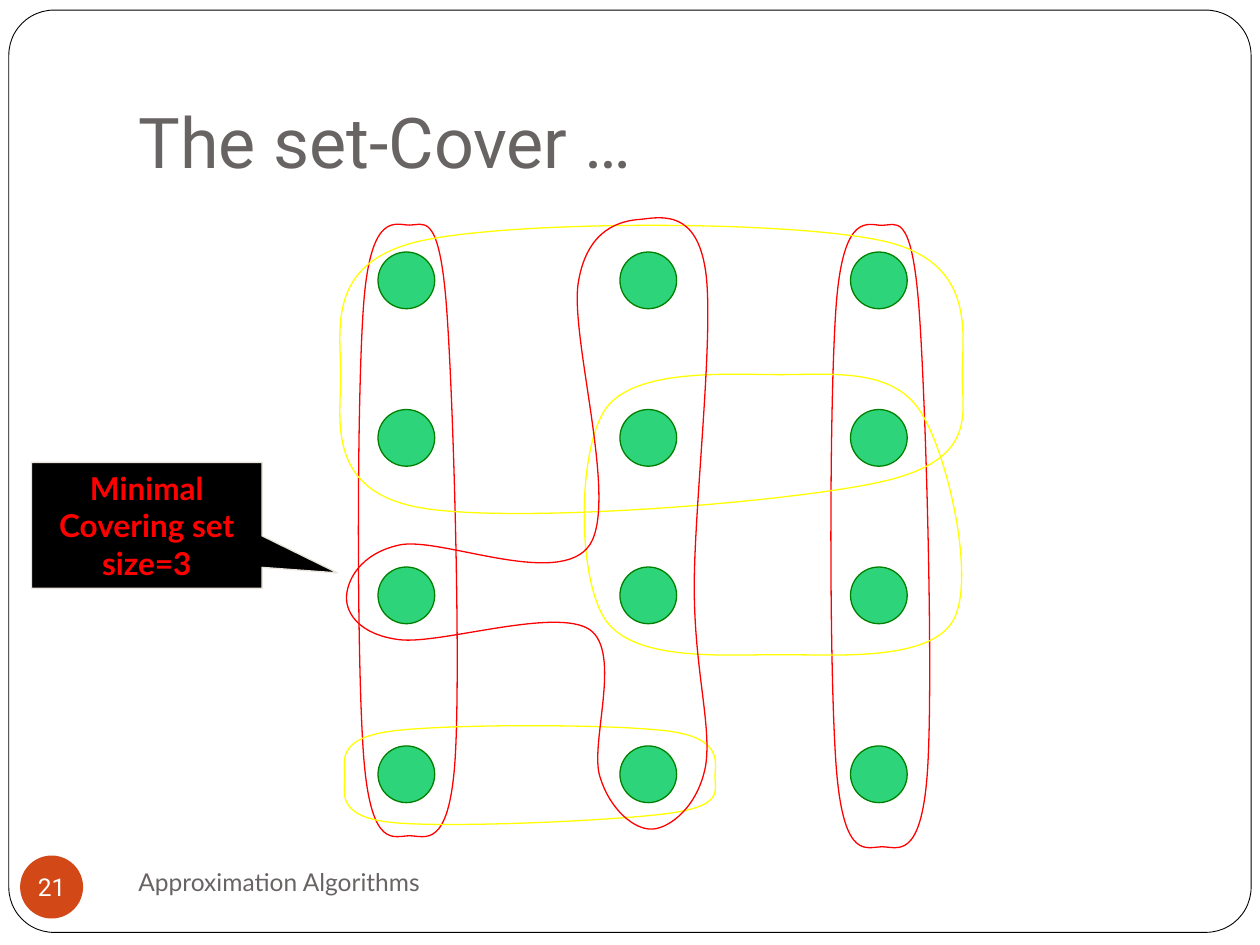
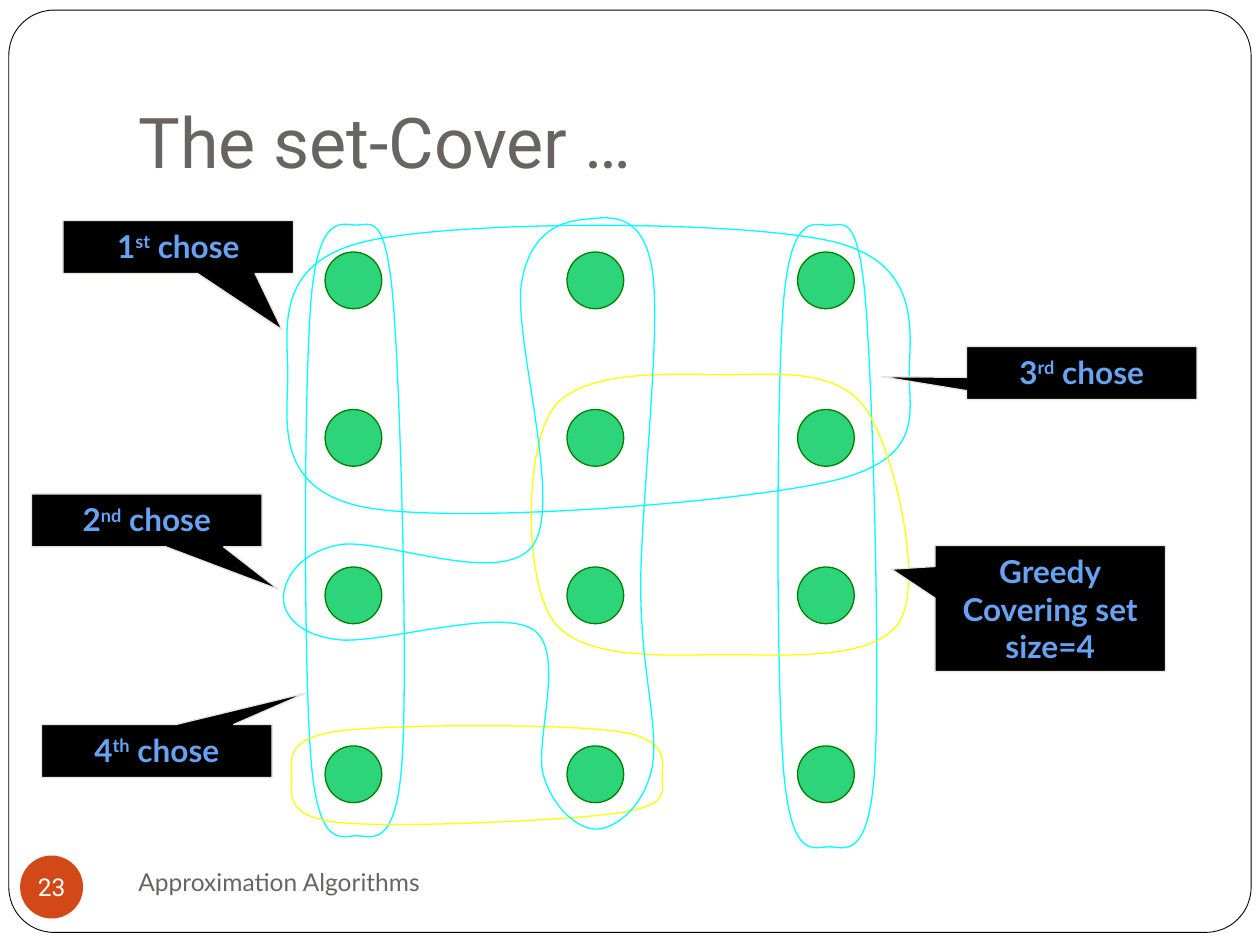
from pptx import Presentation
from pptx.dml.color import RGBColor
from pptx.enum.shapes import MSO_SHAPE
from pptx.enum.text import MSO_ANCHOR, MSO_AUTO_SIZE, PP_ALIGN
from pptx.oxml.ns import qn
from pptx.oxml.xmlchemy import OxmlElement
from pptx.util import Pt

PX = 9144  # EMU in one px, 100 px to the inch
WIDTH, HEIGHT = 1000, 750
TITLE_ONLY = 5

WHITE = RGBColor(0xFF, 0xFF, 0xFF)
BLACK = RGBColor(0x00, 0x00, 0x00)
GREY = RGBColor(0x69, 0x64, 0x64)
ORANGE = RGBColor(0xD3, 0x48, 0x17)
GREEN = RGBColor(0x2E, 0xD4, 0x79)
DARK_GREEN = RGBColor(0x00, 0x80, 0x00)
RED = RGBColor(0xFF, 0x00, 0x00)
YELLOW = RGBColor(0xFF, 0xFF, 0x00)
CYAN = RGBColor(0x00, 0xFF, 0xFF)
BLUE = RGBColor(0x67, 0xA3, 0xF3)
CREAM = RGBColor(0xE9, 0xE5, 0xDC)

HEADING_FONT, BODY_FONT = "Roboto", "Lato"
LEFT, CENTER = PP_ALIGN.LEFT, PP_ALIGN.CENTER
TOP, MIDDLE, BOTTOM = MSO_ANCHOR.TOP, MSO_ANCHOR.MIDDLE, MSO_ANCHOR.BOTTOM
NO_AUTO_SIZE = MSO_AUTO_SIZE.NONE
ROUNDED, OVAL = MSO_SHAPE.ROUNDED_RECTANGLE, MSO_SHAPE.OVAL
NODE, CALLOUT = MSO_SHAPE.FLOWCHART_CONNECTOR, MSO_SHAPE.RECTANGULAR_CALLOUT

# Closed curves: a start point, then three points for each Bezier piece
LOOP = [
    (72, 139),
    (0, 280), (0, 720), (72, 860),
    (145, 1000), (362, 977), (508, 977),
    (653, 977), (883, 1000), (942, 860),
    (1000, 720), (927, 280), (855, 139),
    (782, 0), (637, 23), (508, 23),
    (379, 23), (145, 0), (72, 139),
]
WAVE = [
    (184, 57),
    (177, 100), (216, 230), (193, 265),
    (169, 300), (74, 258), (42, 265),
    (10, 272), (0, 294), (0, 307),
    (0, 319), (10, 336), (42, 340),
    (74, 344), (166, 314), (193, 332),
    (219, 350), (193, 422), (201, 448),
    (209, 475), (229, 491), (243, 490),
    (257, 489), (279, 472), (285, 440),
    (290, 408), (276, 364), (276, 298),
    (276, 233), (292, 97), (285, 48),
    (278, 0), (251, 5), (234, 7),
    (218, 8), (191, 14), (184, 57),
]

NODE_COLUMNS = (300, 492, 675)
NODE_ROWS = (200, 325, 450, 592)
NODE_SIZE = 45


class Deck:
    """Holds the shared style and the slide being built."""

    def __init__(self):
        self.presentation = Presentation()
        self.presentation.slide_width = WIDTH * PX
        self.presentation.slide_height = HEIGHT * PX
        self.slide = None

    def new_slide(self, title, footer, number):
        layout = self.presentation.slide_layouts[TITLE_ONLY]
        self.slide = self.presentation.slides.add_slide(layout)
        heading = self.slide.shapes.title
        frame = self.shape(ROUNDED, (7, 8, 986, 732), WHITE, BLACK, 0.5)
        frame.adjustments[0] = 0.049
        heading.element.addprevious(frame.element)

        heading.left, heading.top = 100 * PX, 30 * PX
        heading.width, heading.height = 850 * PX, 125 * PX
        self.set_text(heading, [title], 40, GREY, HEADING_FONT, LEFT, BOTTOM,
                      (10, 5, 10, 10))

        box = self.slide.shapes.add_textbox(
            100 * PX, 675 * PX, 433 * PX, 50 * PX)
        self.set_text(box, [footer], 14, GREY, BODY_FONT, LEFT, MIDDLE)

        badge = self.shape(OVAL, (16, 679, 50, 50), ORANGE)
        self.set_text(badge, [str(number)], 14, WHITE, HEADING_FONT, CENTER,
                      MIDDLE, (0, 0, 0, 0))
        badge.text_frame.word_wrap = False

    def shape(self, kind, box, fill, line=None, line_width=0.75):
        shape = self.slide.shapes.add_shape(kind, *(side * PX for side in box))
        shape.fill.solid()
        shape.fill.fore_color.rgb = fill
        self.stroke(shape, line, line_width)
        return shape

    def stroke(self, shape, color, width=0.75):
        shape.shadow.inherit = False
        if color is None:
            shape.line.fill.background()
        else:
            shape.line.color.rgb = color
            shape.line.width = Pt(width)

    def set_text(self, shape, lines, size, color, font, align, anchor,
                 insets=(10, 5, 10, 5), bold=False):
        """Fill a shape with paragraphs; text between ^ marks is superscript."""
        text_frame = shape.text_frame
        text_frame.word_wrap = True
        text_frame.auto_size = NO_AUTO_SIZE
        text_frame.vertical_anchor = anchor
        (text_frame.margin_left, text_frame.margin_top,
         text_frame.margin_right, text_frame.margin_bottom) = (
            inset * PX for inset in insets)
        for index, line in enumerate(lines):
            paragraph = (text_frame.add_paragraph() if index
                         else text_frame.paragraphs[0])
            paragraph.alignment = align
            paragraph.font.name = font
            paragraph.font.size = Pt(size)
            paragraph.font.bold = bold
            paragraph.font.color.rgb = color
            for part, text in enumerate(line.split("^")):
                run = paragraph.add_run()
                run.text = text
                if part % 2:
                    run._r.get_or_add_rPr().set("baseline", "30000")

    def nodes(self, shift):
        for left in NODE_COLUMNS:
            for top in NODE_ROWS:
                self.shape(NODE, (left + shift, top, NODE_SIZE, NODE_SIZE),
                           GREEN, DARK_GREEN)

    def outline(self, curve, box, color, rotation=0):
        """Stretch a closed curve over a box and draw its line."""
        left, top, width, height = box
        x_scale = width / max(x for x, y in curve)
        y_scale = height / max(y for x, y in curve)
        start, *points = [(round((left + x * x_scale) * PX),
                           round((top + y * y_scale) * PX)) for x, y in curve]
        builder = self.slide.shapes.build_freeform(*start)
        builder.add_line_segments(points, close=True)
        shape = builder.convert_to_shape()
        # Join each three straight segments into one Bezier piece
        segments = list(shape.element.iter(qn("a:lnTo")))
        for first in range(0, len(segments), 3):
            piece = OxmlElement("a:cubicBezTo")
            segments[first].addprevious(piece)
            for segment in segments[first:first + 3]:
                piece.append(segment[0])
                segment.getparent().remove(segment)
        shape.fill.background()
        shape.rotation = rotation
        self.stroke(shape, color)

    def set_cover(self, shift, wave_box, column_color, row_color, wave_color):
        """Draw the elements and the six sets that hold them."""
        self.nodes(shift)
        for box, color, rotation in (
            ((283, 167, 83, 508), column_color, 0),
            ((658, 167, 83, 517), column_color, 0),
            ((396, 37, 242, 517), row_color, 90),
            ((458, 292, 317, 233), YELLOW, 0),
            ((379, 462, 83, 308), YELLOW, 90),
        ):
            left, *rest = box
            self.outline(LOOP, (left + shift, *rest), color, rotation)
        self.outline(WAVE, wave_box, wave_color)

    def callout(self, lines, left, top, height, tip, color):
        shape = self.shape(CALLOUT, (left, top, 183, height), BLACK, CREAM)
        shape.adjustments[0], shape.adjustments[1] = tip
        self.set_text(shape, lines, 18, color, BODY_FONT, CENTER, TOP,
                      bold=True)


def main():
    deck = Deck()
    title, footer = "The set-Cover …", "Approximation Algorithms"

    # Minimal cover
    deck.new_slide(title, footer, 21)
    deck.set_cover(0, (275, 167, 292, 492), RED, YELLOW, RED)
    deck.callout(["Minimal Covering set", "size=3"], 25, 367, 100,
                 (0.827, 0.377), RED)

    # Greedy cover
    deck.new_slide(title, footer, 23)
    deck.set_cover(-42, (225, 167, 300, 492), CYAN, CYAN, CYAN)
    for order, left, top, tip in (
        ("3^rd^", 767, 275, (-0.868, 0.071)),
        ("1^st^", 50, 175, (0.451, 1.567)),
        ("2^nd^", 25, 392, (0.571, 1.304)),
        ("4^th^", 33, 575, (0.647, -1.096)),
    ):
        deck.callout([f"{order} chose"], left, top, 42, tip, BLUE)
    deck.callout(["Greedy", "Covering set", "size=4"], 742, 433, 100,
                 (-0.688, -0.312), BLUE)

    deck.presentation.save("out.pptx")


if __name__ == "__main__":
    main()
